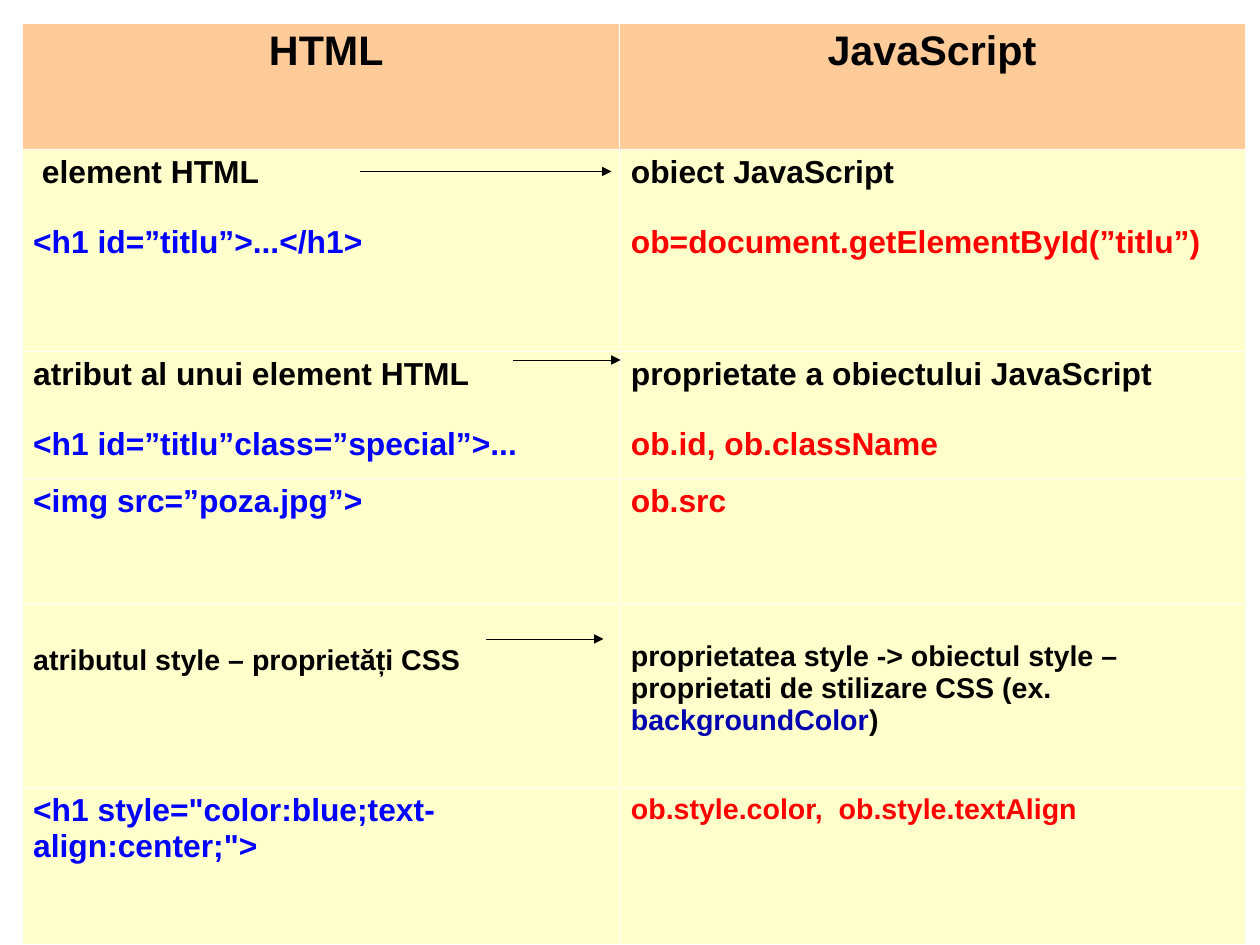
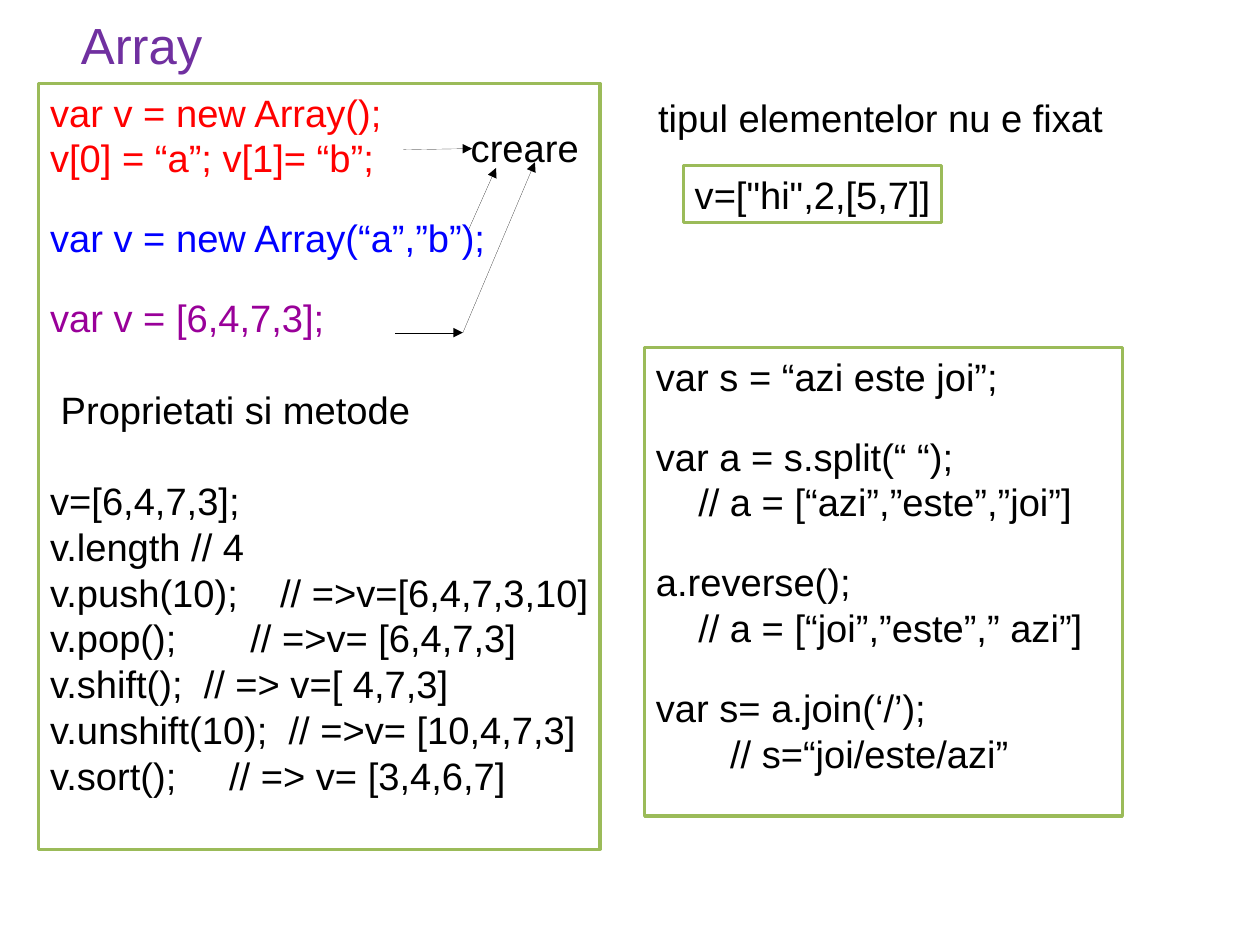
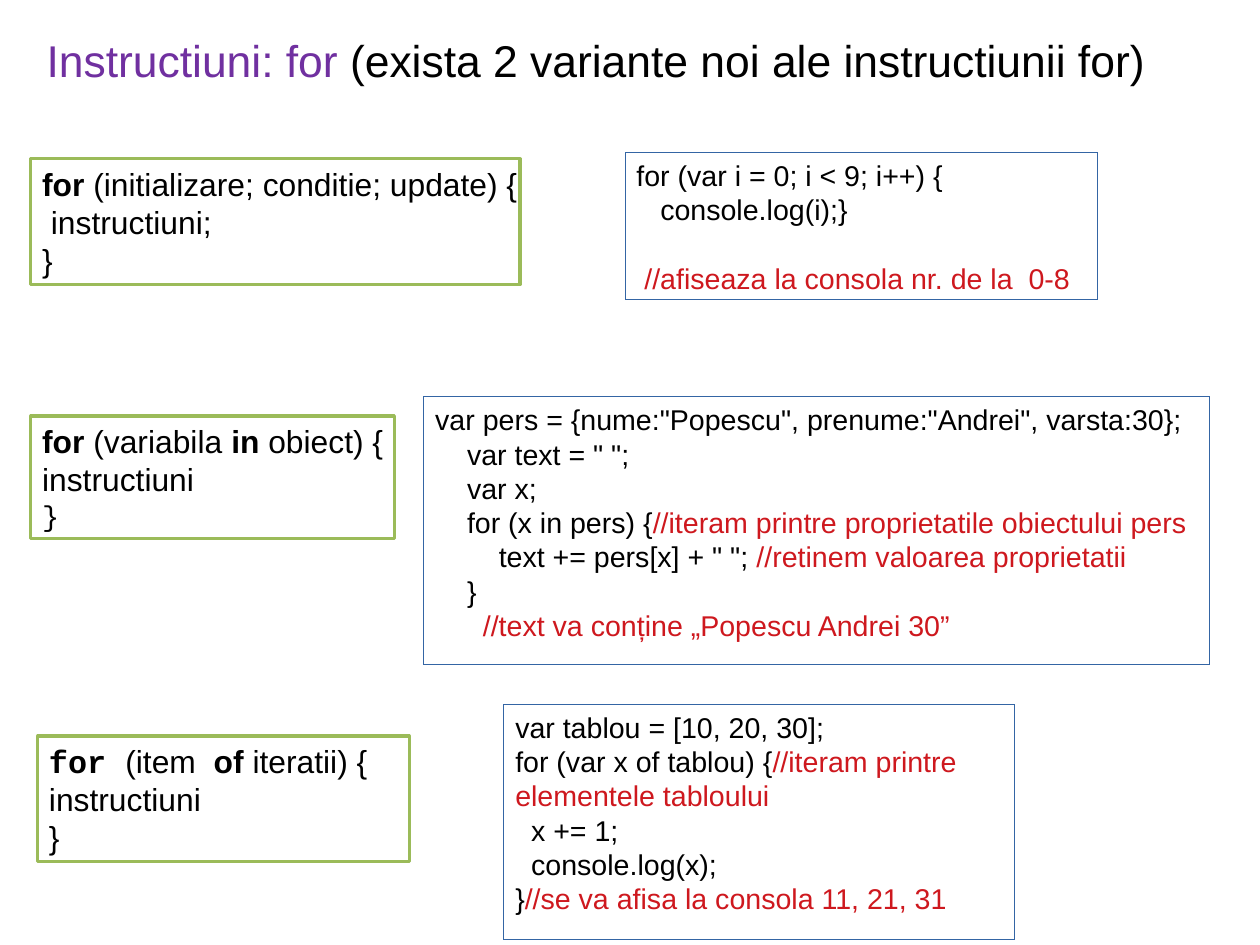
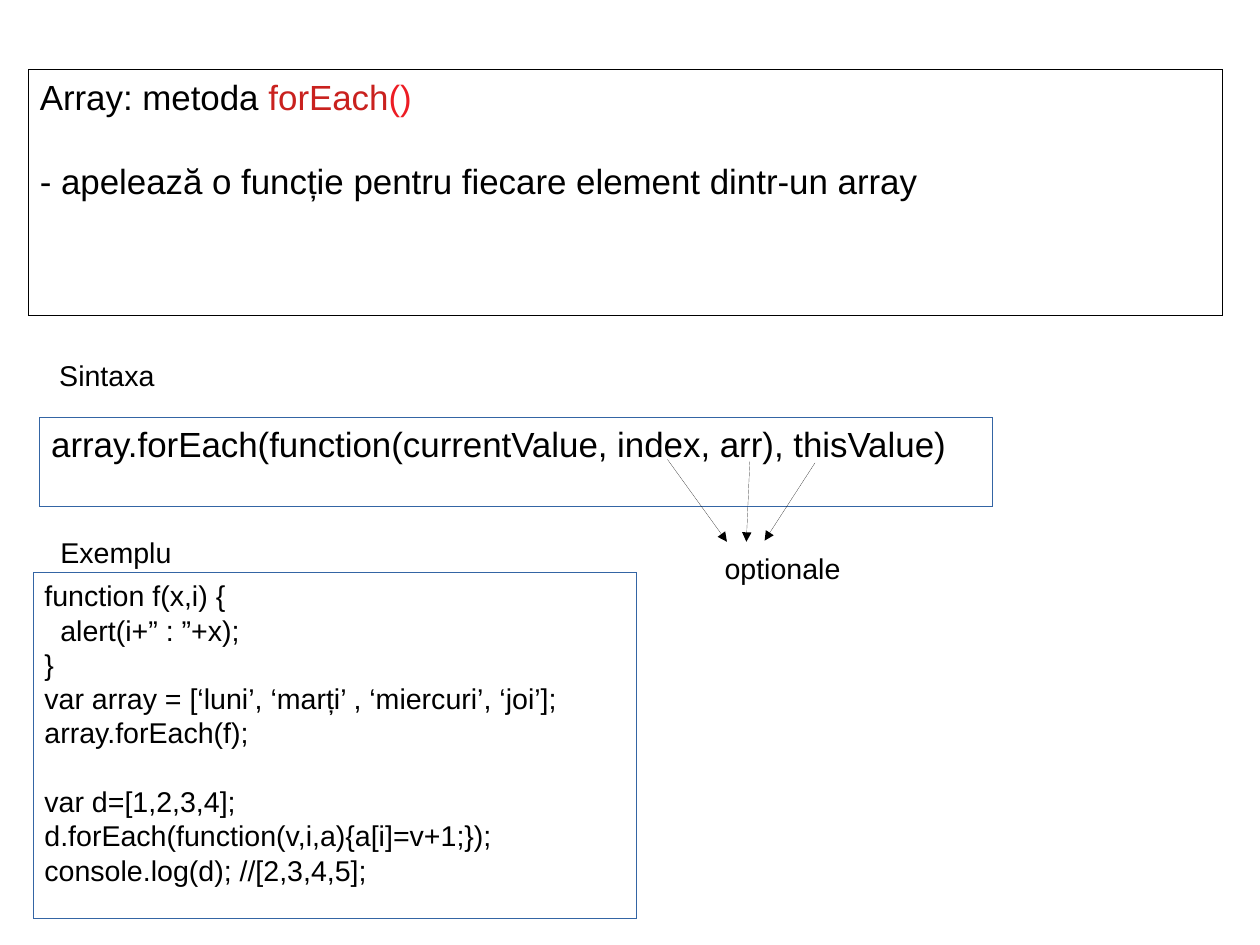
from pptx import Presentation
from pptx.util import Cm, Inches, Pt
from pptx.dml.color import RGBColor as RGB
from pptx.enum.shapes import MSO_SHAPE as SHAPE, MSO_CONNECTOR as CONN
from pptx.enum.text import PP_ALIGN as ALIGN, MSO_ANCHOR as ANCHOR
from pptx.oxml.ns import qn
from lxml.etree import SubElement

THEME = {
    "styles": {
        "title": {"color": "7030A0"},
        "red": {"color": "FF0000"},
        "blue": {"color": "0000FF"},
        "navy": {"color": "0000B0"},
        "violet": {"color": "990099"},
        "comment": {"color": "CE181E"},
        "method": {"color": "C9211E"},
        "call": {"color": "ED1C24"},
        "bold": {"bold": True},
        "mono": {"font": "Courier New", "bold": True},
        "brace": {"font": "Courier New", "size": 18},
    },
    "boxes": {
        "plain": (None, None, 0),
        "green": ("FFFFFF", "9BBB59", 2.01),
        "blue": (None, "3465A4", 0),
        "black": (None, "000000", 0),
    },
    "font": "Arial",
    "ink": "000000",
    "head": "FFCC99",
    "cell": "FFFFCC",
    "border": "FFFFFF",
    "title": 32, "subtitle": 28, "head_size": 26,
    "code": 24, "lead": 22, "form": 20, "small": 18,
    "box_leading": 1.2,
    "cell_leading": 1.1,
    "space": 0.278,
    "inset": (0.1, 0.05),
}
SIZE = (28, 21)

TABLE = {
    "at": (0.19, 0.2),
    "cols": (5.23, 5.47),
    "rows": (1.1, 1.77, 1.11, 1.1, 1.61, 1.37),
    "cells": [
        (("head_size", [" HTML"]), ("head_size", ["JavaScript"])),
        (("form", [" element HTML", 20, [("<h1 id=”titlu”>...</h1>", "blue")]]),
         ("form", ["obiect JavaScript", 20, [("ob=document.getElementById(”titlu”)", "red")]])),
        (("form", ["atribut al unui element HTML", 20,
                   [("<h1 id=”titlu”class=”special”>...", "blue")]]),
         ("form", ["proprietate a obiectului JavaScript", 20, [("ob.id, ob.className", "red")]])),
        (("form", [[("<img src=”poza.jpg”>", "blue")]]),
         ("form", [[("ob.src", "red")]])),
        (("small", [20, "atributul style – proprietăți CSS"]),
         ("small", [18, [("proprietatea style -> obiectul style – proprietati de stilizare CSS (ex. ", ""),
                         ("backgroundColor", "navy"), (")", "")]])),
        (("form", [[("<h1 style=\"color:blue;text-align:center;\">", "blue")]]),
         ("small", [[("ob.style.color,  ob.style.textAlign", "red")]])),
    ],
}

MAPPING = {
    "table": TABLE,
    "boxes": [],
    "arrows": [(3.15, 1.5, 5.35, 1.5), (4.49, 3.15, 5.43, 3.15), (4.25, 5.59, 5.28, 5.59)],
}

ARRAYS = {
    "boxes": [
        ("plain", (0.61, 0.07, 1.38, 0.64), "title", [[("Array", "title")]]),
        ("green", (0.34, 0.73, 4.91, 6.7), "code", [
            [("var v = new Array();", "red")],
            [("v[0] = “a”; v[1]= “b”;", "red")],
            18, [("var v = new Array(“a”,”b”);", "blue")],
            18, [("var v = [6,4,7,3];", "violet")],
            24, " Proprietati si metode",
            24, "v=[6,4,7,3];",
            "v.length // 4",
            "v.push(10);    // =>v=[6,4,7,3,10]",
            "v.pop();       // =>v= [6,4,7,3]",
            "v.shift();  // => v=[ 4,7,3]",
            "v.unshift(10);  // =>v= [10,4,7,3]",
            "v.sort();     // => v= [3,4,6,7]",
        ]),
        ("plain", (5.66, 0.78, 4.09, 0.84), "code", ["tipul elementelor nu e fixat"]),
        ("green", (5.98, 1.45, 2.26, 0.5), "code", ["v=[\"hi\",2,[5,7]]"]),
        ("green", (5.64, 3.04, 4.18, 4.1), "code", [
            "var s = “azi este joi”;",
            18, "var a = s.split(“ “);",
            "    // a = [“azi”,”este”,”joi”]",
            18, "a.reverse();",
            "    // a = [“joi”,”este”,” azi”]",
            18, "var s= a.join(‘/’);",
            "       // s=“joi/este/azi”",
        ]),
        ("plain", (4.02, 1.04, 1.19, 0.49), "code", ["creare"]),
    ],
    "arrows": [(3.53, 1.31, 4.13, 1.3), (4.1, 2.01, 4.34, 1.47),
               (4.05, 2.91, 4.68, 1.42), (3.46, 2.91, 4.05, 2.91)],
}

LOOPS = {
    "boxes": [
        ("plain", (0.31, 0.24, 10, 1.83), "subtitle", [
            [("Instructiuni: for ", "title"), ("(exista 2 variante noi ale instructiunii for)", "")]]),
        ("green", (0.27, 1.39, 4.28, 1.1), "form", [
            [("for", "bold"), (" (initializare; conditie; update) {", "")],
            " instructiuni;",
            "}",
        ]),
        ("blue", (5.47, 1.33, 4.13, 1.29), "small", [
            "for (var i = 0; i < 9; i++) {",
            "   console.log(i);}",
            18, [(" //afiseaza la consola nr. de la  0-8", "comment")],
        ]),
        ("green", (0.27, 3.64, 3.18, 1.07), "form", [
            [("for", "bold"), (" (variabila ", ""), ("in", "bold"), (" obiect) {", "")],
            "instructiuni",
            [("}", "brace")],
        ]),
        ("blue", (3.71, 3.47, 6.87, 2.34), "small", [
            "var pers = {nume:\"Popescu\", prenume:\"Andrei\", varsta:30};",
            "    var text = \" \";",
            "    var x;",
            [("    for (x in pers) {", ""),
             ("//iteram printre proprietatile obiectului pers", "comment")],
            [("        text += pers[x] + \" \"; ", ""),
             ("//retinem valoarea proprietatii", "comment")],
            "    }",
            [("      //text va conține „Popescu Andrei 30”", "comment")],
        ]),
        ("green", (0.33, 6.44, 3.25, 1.1), "form", [
            [("for ", "mono"), ("(item  ", ""), ("of ", "bold"), ("iteratii) {", "")],
            "instructiuni",
            "}",
        ]),
        ("blue", (4.41, 6.16, 4.47, 2.06), "small", [
            "var tablou = [10, 20, 30];",
            [("for (var x of tablou) {", ""), ("//iteram printre elementele tabloului", "comment")],
            "  x += 1;",
            "  console.log(x);",
            [("}", ""), ("//se va afisa la consola 11, 21, 31", "comment")],
        ]),
    ],
    "arrows": [],
}

FOR_EACH = {
    "boxes": [
        ("black", (0.25, 0.61, 10.45, 2.15), "lead", [
            [("Array: metoda ", ""), ("forEach", "method"), ("()", "call")],
            22, "- apelează o funcție pentru fiecare element dintr-un array",
        ]),
        ("blue", (0.35, 3.65, 8.33, 0.78), "lead", [
            "array.forEach(function(currentValue, index, arr), thisValue)"]),
        ("plain", (0.42, 3.08, 1.17, 0.66), "small", ["Sintaxa"]),
        ("blue", (0.29, 5.01, 5.28, 3.03), "small", [
            "function f(x,i) {",
            "  alert(i+” : ”+x);",
            "}",
            "var array = [‘luni’, ‘marți’ , ‘miercuri’, ‘joi’];",
            "array.forEach(f);",
            18, "var d=[1,2,3,4];",
            "d.forEach(function(v,i,a){a[i]=v+1;});",
            "console.log(d); //[2,3,4,5];",
        ]),
        ("plain", (0.43, 4.63, 1.17, 0.38), "small", ["Exemplu"]),
        ("plain", (6.24, 4.77, 1.21, 0.38), "small", ["optionale"]),
    ],
    "arrows": [(6.56, 4.04, 6.53, 4.74), (7.13, 4.05, 6.69, 4.73), (5.84, 4.02, 6.36, 4.74)],
}


def add_run(p, text, style, size, bold):
    look = THEME["styles"].get(style, {})
    r = p.add_run()
    r.text = text
    r.font.name = look.get("font", THEME["font"])
    r.font.size = Pt(look.get("size", size))
    r.font.bold = look.get("bold", bold)
    r.font.color.rgb = RGB.from_string(look.get("color", THEME["ink"]))


def write(tf, lines, size, leading, bold=False, align=ALIGN.LEFT):
    gap, p = 0, None
    for item in lines:
        if isinstance(item, int):
            gap = item * leading
            continue
        runs = [(item, "")] if isinstance(item, str) else item
        p = tf.add_paragraph() if p is not None else tf.paragraphs[0]
        p.alignment = align
        p.space_before = Pt(round(gap, 1))
        gap = 0
        first = runs[0][0]
        lead = len(first) - len(first.lstrip(" "))
        pPr = p._p.get_or_add_pPr()
        pPr.set("marL", str(int(Pt(lead * THEME["space"] * size))))
        pPr.set("indent", "0")
        for i, (words, style) in enumerate(runs):
            add_run(p, words if i else words[lead:], style, size, bold)


def set_line(line, color, width):
    line.color.rgb = RGB.from_string(color)
    ln = line._get_or_add_ln()
    ln.set("w", str(int(Pt(width))))
    return ln


def add_box(s, kind, at, size, lines):
    fill, line, width = THEME["boxes"][kind]
    at = [Inches(v) for v in at]
    if kind == "plain":
        sp = s.shapes.add_textbox(*at)
    else:
        sp = s.shapes.add_shape(SHAPE.RECTANGLE, *at)
        sp.shadow.inherit = False
        set_line(sp.line, line, width)
        if fill:
            sp.fill.solid()
            sp.fill.fore_color.rgb = RGB.from_string(fill)
        else:
            sp.fill.background()
    tf = sp.text_frame
    tf.word_wrap = True
    tf.vertical_anchor = ANCHOR.TOP
    side, top = THEME["inset"]
    tf.margin_left, tf.margin_right = Inches(side), 0
    tf.margin_top = tf.margin_bottom = Inches(top)
    write(tf, lines, THEME[size], THEME["box_leading"])


def add_arrow(s, *ends):
    c = s.shapes.add_connector(CONN.STRAIGHT, *[Inches(v) for v in ends])
    ln = set_line(c.line, THEME["ink"], 0)
    SubElement(ln, qn("a:tailEnd"), type="triangle")
    SubElement(c._element.spPr, qn("a:effectLst"))


def paint_cell(cell, color):
    tcPr = cell._tc.get_or_add_tcPr()
    for side in ("a:lnL", "a:lnR", "a:lnT", "a:lnB"):
        ln = SubElement(tcPr, qn(side), w=str(int(Pt(0.06))))
        SubElement(SubElement(ln, qn("a:solidFill")), qn("a:srgbClr"), val=THEME["border"])
    cell.fill.solid()
    cell.fill.fore_color.rgb = RGB.from_string(color)


def add_grid(s, at, cols, rows, cells):
    box = [Inches(v) for v in (*at, sum(cols), sum(rows))]
    table = s.shapes.add_table(len(rows), len(cols), *box).table
    for col, width in zip(table.columns, cols):
        col.width = Inches(width)
    for row, height in zip(table.rows, rows):
        row.height = Inches(height)
    side, top = THEME["inset"]
    leading = THEME["cell_leading"]
    for y, row in enumerate(cells):
        for x, (size, lines) in enumerate(row):
            cell = table.cell(y, x)
            drop = lines[0] if isinstance(lines[0], int) else 0
            cell.margin_left = cell.margin_right = Inches(side)
            cell.margin_top = Inches(top) + Pt(drop * leading)
            cell.margin_bottom = Inches(top)
            paint_cell(cell, THEME["cell"] if y else THEME["head"])
            write(cell.text_frame, lines[1:] if drop else lines, THEME[size], leading,
                  bold=True, align=ALIGN.LEFT if y else ALIGN.CENTER)


prs = Presentation()
prs.slide_width, prs.slide_height = [Cm(v) for v in SIZE]
for page in (MAPPING, ARRAYS, LOOPS, FOR_EACH):
    s = prs.slides.add_slide(prs.slide_layouts[6])
    if "table" in page:
        add_grid(s, **page["table"])
    for box in page["boxes"]:
        add_box(s, *box)
    for ends in page["arrows"]:
        add_arrow(s, *ends)
prs.save("out.pptx")
